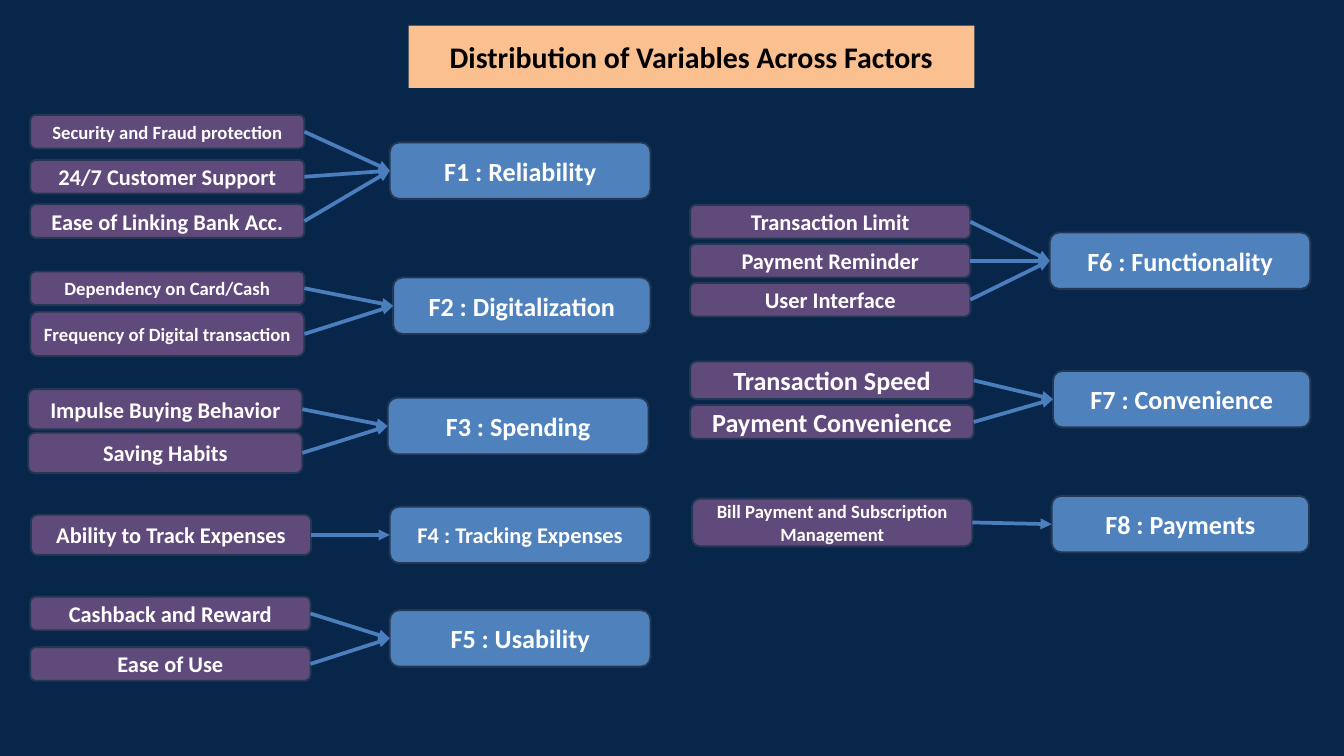
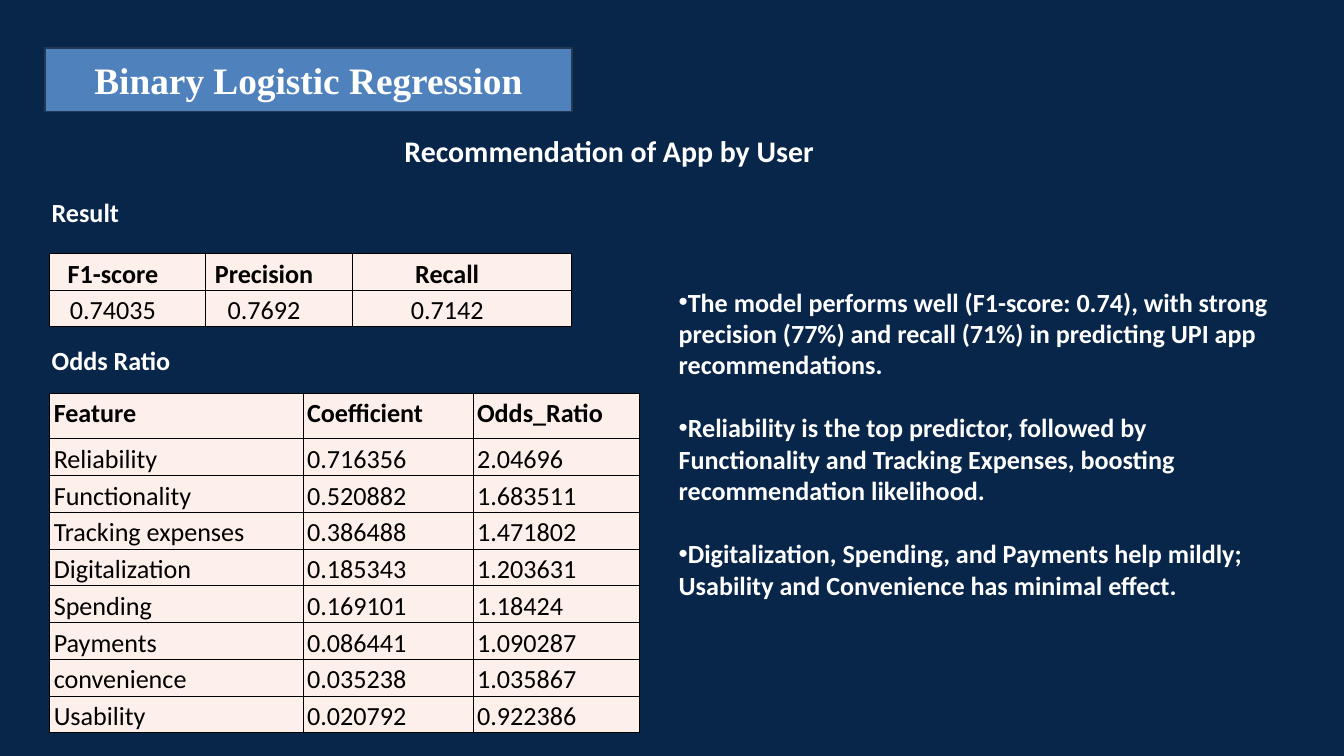
from lxml import etree
from pptx import Presentation
from pptx import util as u
from pptx.dml.color import RGBColor
from pptx.enum import shapes, text
from pptx.oxml.ns import qn

NAVY = RGBColor(0x08, 0x25, 0x4A)
BLUE = RGBColor(0x4F, 0x81, 0xBD)
PURPLE = RGBColor(0x60, 0x4A, 0x7B)
EDGE = RGBColor(0x23, 0x39, 0x53)
ARROW = RGBColor(0x4B, 0x7E, 0xBC)
PEACH = RGBColor(0xFA, 0xC0, 0x90)
CREAM = RGBColor(0xFD, 0xEF, 0xE9)
WHITE = RGBColor(0xFF, 0xFF, 0xFF)
BLACK = RGBColor(0x00, 0x00, 0x00)

LEFT, CENTER = text.PP_ALIGN.LEFT, text.PP_ALIGN.CENTER
TOP, MIDDLE, BOTTOM = text.MSO_ANCHOR.TOP, text.MSO_ANCHOR.MIDDLE, text.MSO_ANCHOR.BOTTOM
TITLE_ONLY, TITLE_AND_BODY = 5, 1

FACTORS = [
    ("F1 : Reliability", 28, (5.8, 2.12, 3.88), (0.45, 4.08), [
        ("Security and Fraud protection", 20, 1.71, 0.5),
        ("24/7 Customer Support", 24, 2.38, 0.5),
        ("Ease of Linking Bank Acc.", 24, 3.04, 0.5)]),
    ("F2 : Digitalization", 28, (5.85, 4.13, 3.83), (0.45, 4.08), [
        ("Dependency on Card/Cash", 20, 4.04, 0.5),
        ("Frequency of Digital transaction", 20, 4.64, 0.66)]),
    ("F3 : Spending", 28, (5.77, 5.92, 3.88), (0.42, 4.08), [
        ("Impulse Buying Behavior", 24, 5.79, 0.6),
        ("Saving Habits", 24, 6.44, 0.6)]),
    ("F4 : Tracking Expenses", 24, (5.8, 7.54, 3.88), (0.46, 4.17), [
        ("Ability to Track Expenses", 24, 7.66, 0.6)]),
    ("F5 : Usability", 28, (5.8, 9.08, 3.88), (0.45, 4.17), [
        ("Cashback and Reward", 24, 8.88, 0.5),
        ("Ease of Use", 24, 9.63, 0.5)]),
    ("F6 : Functionality", 28, (15.62, 3.46, 3.88), (10.27, 4.17), [
        ("Transaction Limit", 24, 3.05, 0.5),
        ("Payment Reminder", 24, 3.63, 0.5),
        ("User Interface", 24, 4.21, 0.5)]),
    ("F7 : Convenience", 28, (15.67, 5.52, 3.83), (10.27, 4.22), [
        ("Transaction Speed", 28, 5.38, 0.56),
        ("Payment Convenience", 28, 6.03, 0.5)]),
    ("F8 : Payments", 28, (15.65, 7.38, 3.83), (10.3, 4.17), [
        ("Bill Payment and Subscription Management", 20, 7.42, 0.71)]),
]

SCORES = [("F1-score", "Precision", "Recall"), ("0.74035", "0.7692", "0.7142")]

ODDS = [
    ("Feature", "Coefficient", "Odds_Ratio"),
    ("Reliability", "0.716356", "2.04696"),
    ("Functionality", "0.520882", "1.683511"),
    ("Tracking expenses", "0.386488", "1.471802"),
    ("Digitalization", "0.185343", "1.203631"),
    ("Spending", "0.169101", "1.18424"),
    ("Payments", "0.086441", "1.090287"),
    ("convenience", "0.035238", "1.035867"),
    ("Usability", "0.020792", "0.922386"),
]

FINDINGS = [
    "The model performs well (F1-score: 0.74), with strong precision (77%) and recall (71%) "
    "in predicting UPI app recommendations.",
    "Reliability is the top predictor, followed by Functionality and Tracking Expenses, "
    "boosting recommendation likelihood.",
    "Digitalization, Spending, and Payments help mildly; Usability and Convenience has "
    "minimal effect.",
]


class Deck:
    """Holds the deck style and the current slide, and adds elements to it."""

    def __init__(self):
        self.prs = Presentation()
        self.prs.slide_width, self.prs.slide_height = u.Inches(20), u.Inches(11.25)
        fill = self.prs.slide_master.background.fill
        fill.solid()
        fill.fore_color.rgb = NAVY
        self.s = None

    def slide(self, layout):
        self.s = self.prs.slides.add_slide(self.prs.slide_layouts[layout])

    def place(self, sp, *box):
        sp.left, sp.top, sp.width, sp.height = map(u.Inches, box)

    def run(self, p, words, size, color=WHITE, align=LEFT, bold=True, font="Calibri"):
        p.alignment = align
        r = p.add_run()
        r.text = words
        f = r.font
        f.name, f.size, f.bold, f.color.rgb = font, u.Pt(size), bold, color

    def frame(self, sp, anchor):
        tf = sp.text_frame
        tf.word_wrap = True
        tf.auto_size = text.MSO_AUTO_SIZE.NONE
        tf.vertical_anchor = anchor
        return tf

    def paint(self, sp, fill, edge=EDGE):
        sp.fill.solid()
        sp.fill.fore_color.rgb = fill
        if edge is None:
            sp.line.fill.background()
        else:
            sp.line.color.rgb, sp.line.width = edge, u.Pt(2)

    def title(self, words, box, size, fill, edge=EDGE, color=WHITE, font="Calibri"):
        sp = self.s.shapes.title
        self.place(sp, *box)
        geom = etree.SubElement(sp.element.spPr, qn("a:prstGeom"), prst="roundRect")
        etree.SubElement(geom, qn("a:avLst"))
        self.paint(sp, fill, edge)
        p = self.frame(sp, MIDDLE).paragraphs[0]
        self.run(p, words, size, color, CENTER, font=font)

    def node(self, words, size, fill, *box):
        sp = self.s.shapes.add_shape(shapes.MSO_SHAPE.ROUNDED_RECTANGLE, *map(u.Inches, box))
        sp.shadow.inherit = False
        self.paint(sp, fill)
        self.run(self.frame(sp, MIDDLE).paragraphs[0], words, size, align=CENTER)
        return sp

    def arrow(self, source, target):
        c = self.s.shapes.add_connector(shapes.MSO_CONNECTOR.STRAIGHT, 0, 0, 0, 0)
        c.begin_connect(source, 3)
        c.end_connect(target, 1)
        c.line.color.rgb, c.line.width = ARROW, u.Pt(4)
        sp_pr = c.element.spPr
        etree.SubElement(sp_pr.find(qn("a:ln")), qn("a:tailEnd"), type="triangle")
        etree.SubElement(sp_pr, qn("a:effectLst"))

    def label(self, words, size, *box):
        sp = self.s.shapes.add_textbox(*map(u.Inches, box))
        self.run(self.frame(sp, TOP).paragraphs[0], words, size)

    def bullets(self, items, size, gap, *box):
        sp = self.s.placeholders[1]
        self.place(sp, *box)
        tf = self.frame(sp, MIDDLE)
        for i, item in enumerate(items):
            p = tf.add_paragraph() if i else tf.paragraphs[0]
            p.space_before = u.Pt(gap if i else 0)
            self.run(p, item, size)
            p_pr = p._p.get_or_add_pPr()
            p_pr.set("marL", "0")
            p_pr.set("indent", "0")
            etree.SubElement(p_pr, qn("a:buChar"), char="•")

    def cell(self, cell, words, bold, align, anchor, right):
        tc_pr = cell._tc.get_or_add_tcPr()
        for side in ("lnL", "lnR", "lnT", "lnB"):
            ln = etree.SubElement(tc_pr, qn(f"a:{side}"), w=str(u.Pt(1)))
            solid = etree.SubElement(ln, qn("a:solidFill"))
            etree.SubElement(solid, qn("a:srgbClr"), val=str(BLACK))
        cell.fill.solid()
        cell.fill.fore_color.rgb = CREAM
        cell.margin_left, cell.margin_right = u.Inches(0.06), u.Inches(right)
        cell.margin_top = cell.margin_bottom = 0
        cell.vertical_anchor = anchor
        p = cell.text_frame.paragraphs[0]
        p.line_spacing = 1.15
        self.run(p, words, 28, BLACK, align, bold)

    def table(self, rows, left, top, widths, heights, align=LEFT, head_anchor=TOP, right=0.06):
        box = map(u.Inches, (left, top, sum(widths), sum(heights)))
        tbl = self.s.shapes.add_table(len(rows), len(widths), *box).table
        tbl.first_row = tbl.horz_banding = False
        for col, width in zip(tbl.columns, widths):
            col.width = u.Inches(width)
        for i, row in enumerate(rows):
            tbl.rows[i].height = u.Inches(heights[i])
            anchor = BOTTOM if i else head_anchor
            for j, words in enumerate(row):
                self.cell(tbl.cell(i, j), words, i == 0, align, anchor, right)


def factor_slide(deck):
    deck.slide(TITLE_ONLY)
    deck.title("Distribution of Variables Across Factors", (6.08, 0.38, 8.42, 0.93), 32,
               PEACH, edge=None, color=BLACK)
    for name, size, (x, y, w), (var_x, var_w), variables in FACTORS:
        factor = deck.node(name, size, BLUE, x, y, w, 0.84)
        for words, var_size, var_y, var_h in variables:
            variable = deck.node(words, var_size, PURPLE, var_x, var_y, var_w, var_h)
            deck.arrow(variable, factor)


def regression_slide(deck):
    deck.slide(TITLE_AND_BODY)
    deck.title("Binary Logistic Regression", (0.67, 0.71, 7.84, 0.95), 40, BLUE,
               font="Times New Roman")
    deck.label("Recommendation of App by User", 32, 5.92, 1.92, 10, 0.64)
    deck.label("Result", 28, 0.67, 2.87, 3.08, 0.57)
    deck.table(SCORES, 0.74, 3.77, (2.32, 2.18, 3.27), (0.5, 0.5), CENTER, BOTTOM, right=0.5)
    deck.label("Odds Ratio", 28, 0.67, 5.07, 2.42, 0.57)
    deck.table(ODDS, 0.74, 5.85, (3.77, 2.53, 2.47), [0.68] + [0.51] * (len(ODDS) - 1))
    deck.bullets(FINDINGS, 28, 34, 10, 4.19, 9.34, 4.81)


def main():
    deck = Deck()
    factor_slide(deck)
    regression_slide(deck)
    deck.prs.save("out.pptx")


if __name__ == "__main__":
    main()
